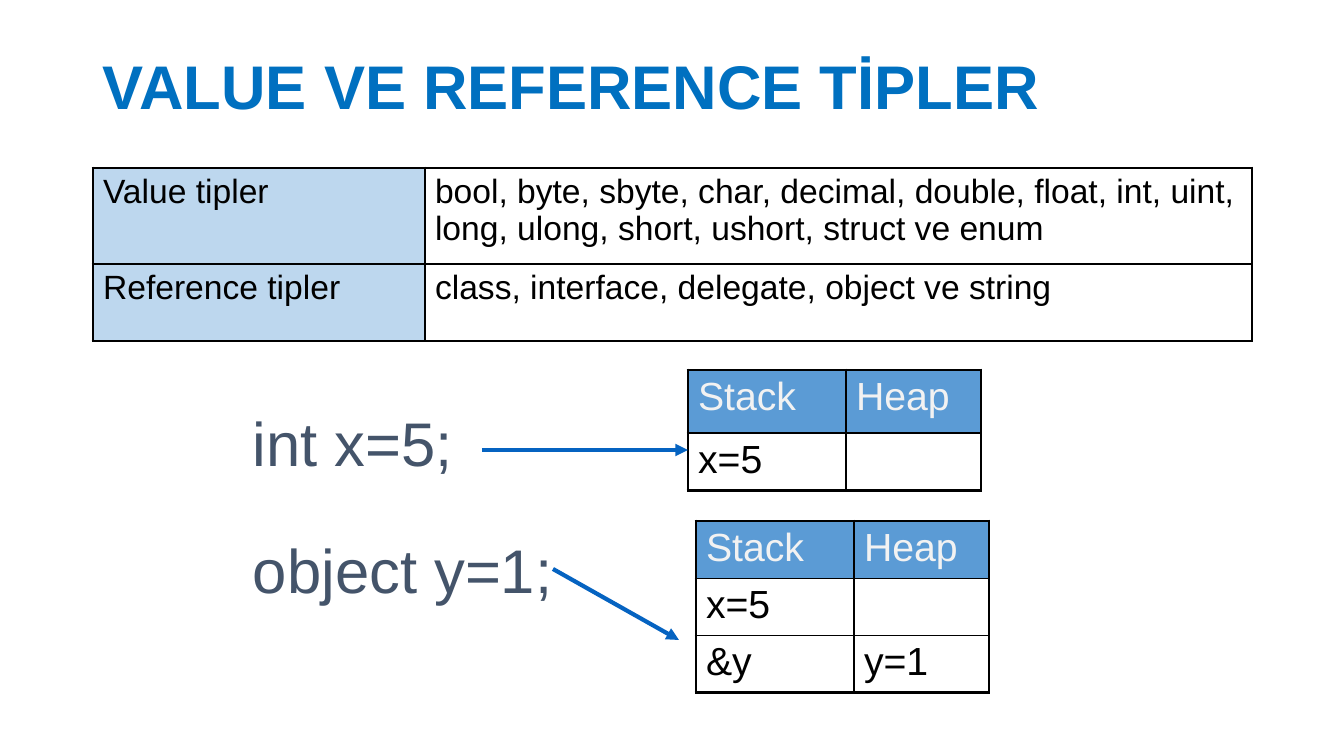
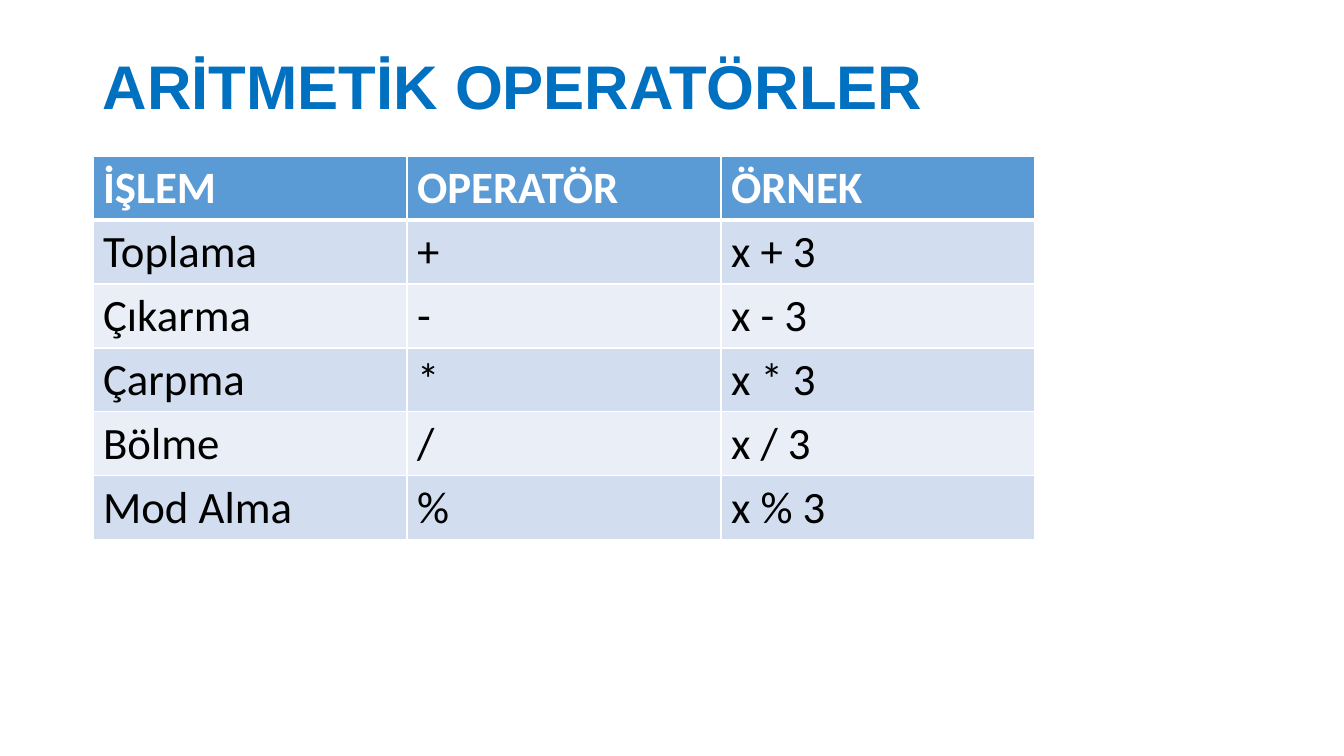
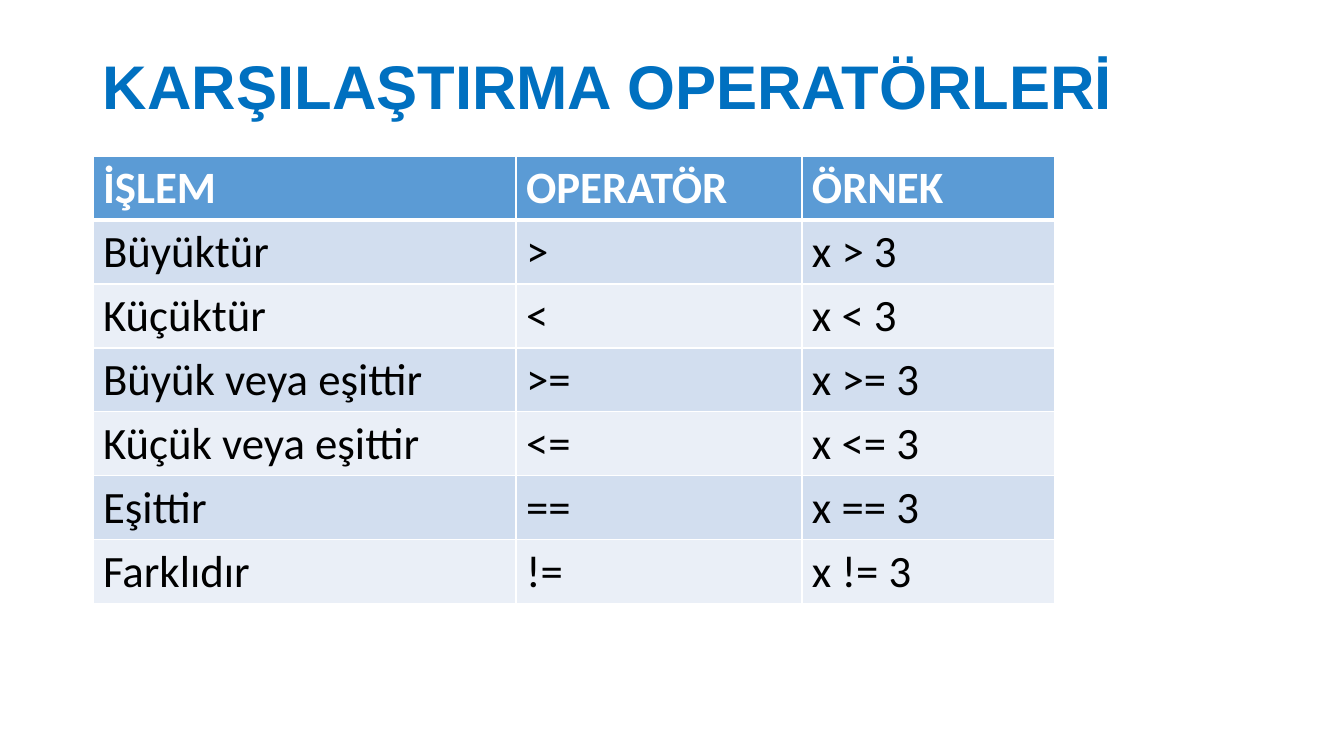
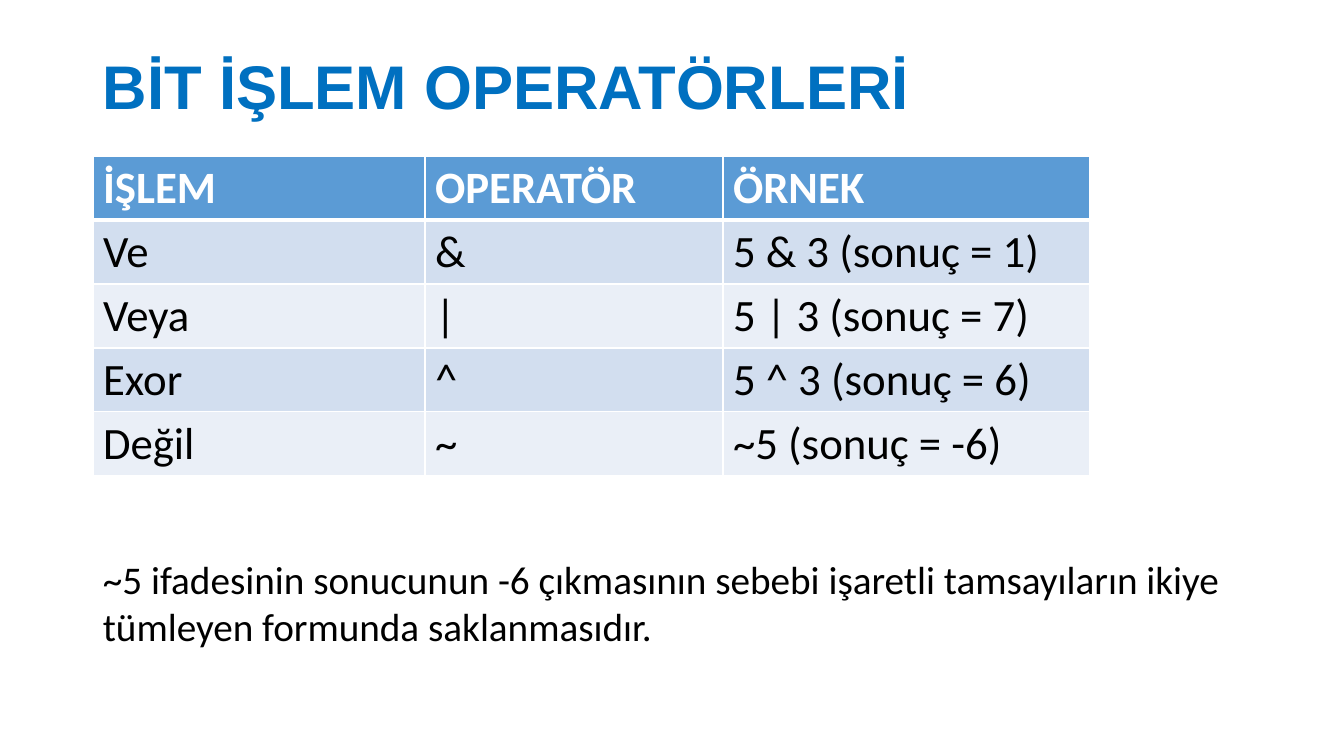
"""Build four slides on value types and operators."""
from dataclasses import dataclass
from itertools import accumulate

from lxml.etree import SubElement as Sub
from pptx import Presentation
from pptx.dml.color import RGBColor as RGB
from pptx.enum.shapes import MSO_CONNECTOR as Link
from pptx.enum.text import MSO_ANCHOR as Anchor
from pptx.oxml.ns import qn
from pptx.util import Emu, Pt


@dataclass(frozen=True)
class Theme:
    """Hold the colours, fonts and type sizes."""
    title: str = "0070C0"
    head: str = "5B9BD5"
    pale: str = "BDD7EE"
    odd: str = "D2DEEF"
    even: str = "EAEFF7"
    ink: str = "000000"
    code: str = "44546A"
    white: str = "FFFFFF"
    soft: str = "F2F2F2"
    arrow: str = "0563C1"
    sans: str = "Arial"
    body: str = "Calibri"
    big: int = 44
    large: int = 32
    mid: int = 28
    small: int = 24
    thin: float = 1
    bold: float = 2.25
    thick: float = 3


def px(n):
    """Turn picture pixels into EMU."""
    return Emu(round(n * 914400 / 100.8))


class Deck:
    """Hold the style and the current slide."""

    def __init__(self, theme):
        """Start an empty wide deck."""
        self.t = theme
        self.prs = Presentation()
        self.prs.slide_width, self.prs.slide_height = px(1344), px(756)

    def page(self, title):
        """Add a slide with its title."""
        t = self.t
        self.slide = self.prs.slides.add_slide(self.prs.slide_layouts[6])
        frame = self.text(title, (93, 40, 1159, 100), t.big, t.sans, t.title, True)
        frame.vertical_anchor = Anchor.MIDDLE
        frame.paragraphs[0].line_spacing = 0.9

    def put(self, frame, words, size, face, color, bold=False):
        """Fill a frame with one styled paragraph."""
        par = frame.paragraphs[0]
        par.text = words
        font = par.font
        font.size, font.name, font.bold = Pt(size), face, bold
        font.color.rgb = RGB.from_string(color)

    def text(self, words, box, size, face, color, bold=False):
        """Add a wrapping text box."""
        frame = self.slide.shapes.add_textbox(*map(px, box)).text_frame
        frame.word_wrap = True
        self.put(frame, words, size, face, color, bold)
        return frame

    def code(self, words, x, y, w):
        """Add a large line of code."""
        t = self.t
        frame = self.text(words, (x, y, w, 84), t.big, t.sans, t.code)
        frame.margin_top = px(11)

    def arrow(self, *ends):
        """Add an arrow between two points."""
        line = self.slide.shapes.add_connector(Link.STRAIGHT, *map(px, ends))
        line.line.color.rgb = RGB.from_string(self.t.arrow)
        line.line.width = Pt(self.t.thick)
        Sub(line.line._get_or_add_ln(), qn("a:tailEnd"), type="triangle")
        Sub(line._element.spPr, qn("a:effectLst"))

    def edge(self, cell, side, width, color):
        """Draw one border of a cell."""
        line = Sub(cell._tc.get_or_add_tcPr(), qn("a:" + side), w=str(int(Pt(width))))
        Sub(Sub(line, qn("a:solidFill")), qn("a:srgbClr"), val=color)

    def table(self, x, y, cols, rows, data, look, across, down, color):
        """Add a table whose look gives fill and font by cell."""
        size = sum(cols), sum(rows)
        grid = self.slide.shapes.add_table(
            len(rows), len(cols), *map(px, (x, y, *size))).table
        grid.first_row = grid.horz_banding = False
        for parts, key, sizes in ((grid.columns, "width", cols),
                                  (grid.rows, "height", rows)):
            stops = [px(n) for n in accumulate(sizes, initial=0)]
            for part, a, b in zip(parts, stops, stops[1:]):
                setattr(part, key, Emu(b - a))
        for r, row in enumerate(data):
            for c, words in enumerate(row):
                cell = grid.cell(r, c)
                for side, width in (("lnL", across[c]), ("lnR", across[c + 1]),
                                    ("lnT", down[r]), ("lnB", down[r + 1])):
                    self.edge(cell, side, width, color)
                fill, *font = look(r, c)
                if fill:
                    cell.fill.solid()
                    cell.fill.fore_color.rgb = RGB.from_string(fill)
                else:
                    cell.fill.background()
                if words:
                    self.put(cell.text_frame, words, *font)

    def boxed(self, x, y, cols, rows, data, look):
        """Add a table with a heavy outer frame."""
        t = self.t
        across, down = ([t.bold, *[t.thin] * (len(part) - 1), t.bold]
                        for part in (cols, rows))
        self.table(x, y, cols, rows, data, look, across, down, t.ink)

    def types(self, x, y, cols, rows, data):
        """Add a framed table with a pale first column."""
        t = self.t
        self.boxed(x, y, cols, rows, data, lambda r, c: (
            None if c else t.pale, t.small, t.sans, t.ink))

    def memory(self, x, y, rows, data):
        """Add a framed stack and heap table."""
        t = self.t
        self.boxed(x, y, (158, 135), rows, [("Stack", "Heap"), *data],
                   lambda r, c: (None if r else t.head, t.mid, t.sans,
                                 t.ink if r else t.soft))

    def banded(self, cols, data):
        """Add a striped table of operators."""
        t = self.t
        data = [("İŞLEM", "OPERATÖR", "ÖRNEK"), *data]

        def look(r, c):
            """Give the fill and font of a row."""
            fill = (t.even, t.odd)[r % 2] if r else t.head
            return fill, t.large, t.body, t.ink if r else t.white, not r

        across = [t.thin] * (len(cols) + 1)
        down = [t.thin, t.thick] + [t.thin] * (len(data) - 1)
        self.table(93, 156, cols, [64] * len(data), data, look,
                   across, down, t.white)


theme = Theme()
deck = Deck(theme)

deck.page("VALUE VE REFERENCE TİPLER")
deck.types(93, 168, (332, 827), (96, 77), [
    ("Value tipler", "bool, byte, sbyte, char, decimal, double, float, int, uint, "
     "long, ulong, short, ushort, struct ve enum"),
    ("Reference tipler", "class, interface, delegate, object ve string"),
])
deck.memory(688, 370, (63, 57), [("x=5", "")])
deck.code("int x=5;", 243, 394, 246)
deck.code("object y=1;", 243, 521, 365)
deck.memory(696, 521, (57, 57, 57), [("x=5", ""), ("&y", "y=1")])
deck.arrow(482, 450, 688, 450)
deck.arrow(553, 569, 679, 640)

deck.page("ARİTMETİK OPERATÖRLER")
deck.banded((314, 314, 314), [
    (name, sign, f"x {sign} 3") for name, sign in (
        ("Toplama", "+"), ("Çıkarma", "-"), ("Çarpma", "*"),
        ("Bölme", "/"), ("Mod Alma", "%"))
])

deck.page("KARŞILAŞTIRMA OPERATÖRLERİ")
deck.banded((423, 286, 253), [
    (name, sign, f"x {sign} 3") for name, sign in (
        ("Büyüktür", ">"), ("Küçüktür", "<"), ("Büyük veya eşittir", ">="),
        ("Küçük veya eşittir", "<="), ("Eşittir", "=="), ("Farklıdır", "!="))
])

deck.page("BİT İŞLEM OPERATÖRLERİ")
deck.banded((332, 298, 367), [
    ("Ve", "&", "5 & 3 (sonuç = 1)"),
    ("Veya", "|", "5 | 3 (sonuç = 7)"),
    ("Exor", "^", "5 ^ 3 (sonuç = 6)"),
    ("Değil", "~", "~5 (sonuç = -6)"),
])
deck.text("~5 ifadesinin sonucunun -6 çıkmasının sebebi işaretli tamsayıların "
          "ikiye tümleyen formunda saklanmasıdır.",
          (93, 550, 1177, 105), theme.mid, theme.body, theme.ink)

deck.prs.save("out.pptx")
